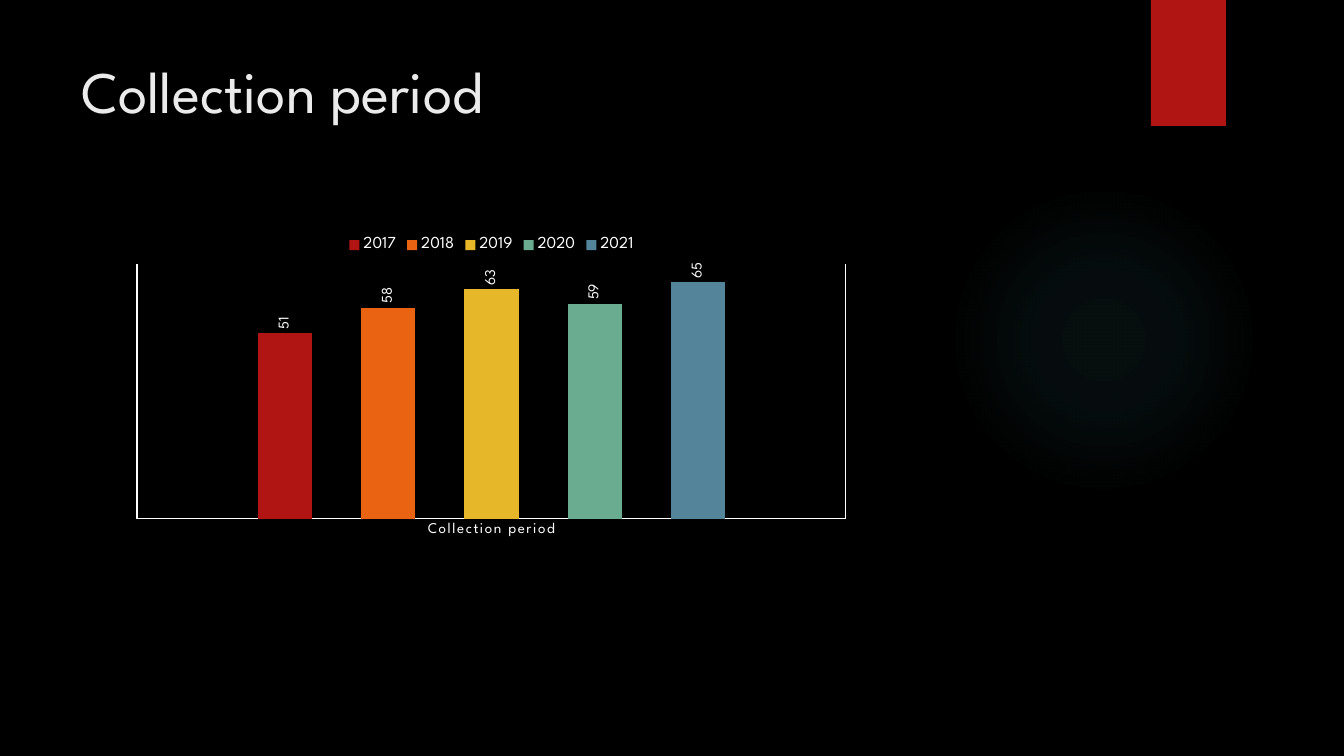
from dataclasses import dataclass

from lxml.etree import SubElement
from pptx import Presentation
from pptx.chart.chart import Chart
from pptx.chart.data import CategoryChartData
from pptx.dml.color import RGBColor
from pptx.enum.chart import XL_CHART_TYPE, XL_LABEL_POSITION, XL_LEGEND_POSITION, XL_TICK_MARK
from pptx.enum.shapes import MSO_SHAPE
from pptx.enum.text import MSO_ANCHOR, MSO_AUTO_SIZE, PP_ALIGN
from pptx.oxml import parse_xml
from pptx.oxml.ns import nsdecls, qn
from pptx.shapes.autoshape import Shape
from pptx.slide import Slide
from pptx.text.text import Font, TextFrame
from pptx.util import Emu, Pt

FONT = "League Spartan"
LABEL_SIZE = 10.64
BLACK = RGBColor(0x00, 0x00, 0x00)
WHITE = RGBColor(0xFF, 0xFF, 0xFF)
PALE = RGBColor(0xEB, 0xEB, 0xEB)
RED = RGBColor(0xB0, 0x15, 0x13)
ORANGE = RGBColor(0xEA, 0x63, 0x12)
YELLOW = RGBColor(0xE6, 0xB7, 0x29)
GREEN = RGBColor(0x6A, 0xAC, 0x90)
BLUE = RGBColor(0x54, 0x84, 0x9A)
TEAL = RGBColor(0x50, 0xB9, 0xC1)
EMU_PER_PX = 914400 / 100.8


@dataclass(frozen=True)
class Box:
    left: int
    top: int
    width: int
    height: int

    def emu(self) -> tuple[Emu, Emu, Emu, Emu]:
        return px(self.left), px(self.top), px(self.width), px(self.height)


@dataclass(frozen=True)
class Year:
    name: str
    days: int
    color: RGBColor


YEARS = (
    Year("2017", 51, RED),
    Year("2018", 58, ORANGE),
    Year("2019", 63, YELLOW),
    Year("2020", 59, GREEN),
    Year("2021", 65, BLUE),
)
GLOW_STOPS = ((0, 7), (36, 6), (69, 0))  # position and opacity, in percent
CHART = Box(122, 226, 739, 317)
PLOT = Box(137, 264, 709, 255)


def px(length: int) -> Emu:
    return Emu(round(length * EMU_PER_PX))


def style_font(font: Font, size: float, color: RGBColor = WHITE) -> None:
    font.name = FONT
    font.size = Pt(size)
    font.bold = False
    font.color.rgb = color


def write_text(frame: TextFrame, text: str, *, size: float, color: RGBColor) -> None:
    frame.word_wrap = True
    frame.auto_size = MSO_AUTO_SIZE.NONE
    frame.vertical_anchor = MSO_ANCHOR.TOP
    para = frame.paragraphs[0]
    para.alignment = PP_ALIGN.LEFT
    span = para.add_run()
    span.text = text
    style_font(span.font, size, color)


def add_plain_shape(page: Slide, kind: MSO_SHAPE, box: Box, color: RGBColor) -> Shape:
    shape = page.shapes.add_shape(kind, *box.emu())
    shape.shadow.inherit = False
    shape.fill.solid()
    shape.fill.fore_color.rgb = color
    shape.line.fill.background()
    return shape


def fade_outwards(shape: Shape, color: RGBColor) -> None:
    """Replace the solid fill with a translucent radial gradient."""
    stops = "".join(
        f'<a:gs pos="{position * 1000}"><a:srgbClr val="{color}">'
        f'<a:alpha val="{opacity * 1000}"/></a:srgbClr></a:gs>'
        for position, opacity in GLOW_STOPS
    )
    gradient = parse_xml(
        f'<a:gradFill {nsdecls("a")} rotWithShape="1"><a:gsLst>{stops}</a:gsLst>'
        '<a:path path="circle"><a:fillToRect l="50000" t="50000" r="50000" b="50000"/>'
        "</a:path></a:gradFill>"
    )
    properties = shape.element.spPr
    properties.replace(properties.find(qn("a:solidFill")), gradient)


def place_plot(chart: Chart) -> None:
    """Fix the inner plot area as fractions of the chart."""
    plot_area = chart.element.find(".//" + qn("c:plotArea"))
    layout = plot_area.find(qn("c:layout"))
    if layout is None:
        layout = parse_xml(f'<c:layout {nsdecls("c")}/>')
        plot_area.insert(0, layout)
    manual = SubElement(layout, qn("c:manualLayout"))
    settings = {
        "layoutTarget": "inner",
        "xMode": "edge",
        "yMode": "edge",
        "x": (PLOT.left - CHART.left) / CHART.width,
        "y": (PLOT.top - CHART.top) / CHART.height,
        "w": PLOT.width / CHART.width,
        "h": PLOT.height / CHART.height,
    }
    for name, value in settings.items():
        SubElement(manual, qn(f"c:{name}")).set("val", str(value))


def add_period_chart(page: Slide) -> None:
    data = CategoryChartData()
    data.categories = ["Collection period"]
    for year in YEARS:
        data.add_series(year.name, [year.days])
    chart = page.shapes.add_chart(XL_CHART_TYPE.COLUMN_CLUSTERED, *CHART.emu(), data).chart
    style_font(chart.font, 10)
    chart.has_title = False
    chart.has_legend = True
    chart.legend.position = XL_LEGEND_POSITION.TOP
    chart.legend.include_in_layout = False
    style_font(chart.legend.font, 11.97)
    place_plot(chart)

    value_axis = chart.value_axis
    value_axis.minimum_scale = 0
    value_axis.maximum_scale = 70
    value_axis.has_major_gridlines = False
    value_axis.visible = False

    category_axis = chart.category_axis
    category_axis.major_tick_mark = XL_TICK_MARK.NONE
    category_axis.has_major_gridlines = True
    for line in (category_axis.format.line, category_axis.major_gridlines.format.line):
        line.color.rgb = WHITE
        line.width = Pt(0.75)
    style_font(category_axis.tick_labels.font, LABEL_SIZE)
    category_axis._element.find(".//" + qn("a:defRPr")).set("spc", "120")

    plot = chart.plots[0]
    plot.gap_width = 444
    plot.overlap = -90
    plot.vary_by_categories = False
    for series, year in zip(plot.series, YEARS):
        series.format.fill.solid()
        series.format.fill.fore_color.rgb = year.color
        labels = series.data_labels
        labels.show_value = True
        labels.position = XL_LABEL_POSITION.OUTSIDE_END
        style_font(labels.font, LABEL_SIZE)
        body = labels._element.find(".//" + qn("a:bodyPr"))
        body.set("rot", "-5400000")
        body.set("vert", "horz")


def main() -> None:
    deck = Presentation()
    deck.slide_width, deck.slide_height = px(1344), px(756)
    page = deck.slides.add_slide(deck.slide_layouts[5])
    page.background.fill.solid()
    page.background.fill.fore_color.rgb = BLACK

    glow = add_plain_shape(page, MSO_SHAPE.OVAL, Box(949, 185, 310, 310), TEAL)
    fade_outwards(glow, TEAL)
    add_plain_shape(page, MSO_SHAPE.RECTANGLE, Box(1151, 0, 75, 126), RED)

    title = page.shapes.title
    title.left, title.top, title.width, title.height = Box(71, 50, 1037, 154).emu()
    write_text(title.text_frame, "Collection period", size=42, color=PALE)
    add_period_chart(page)
    deck.save("out.pptx")


if __name__ == "__main__":
    main()
